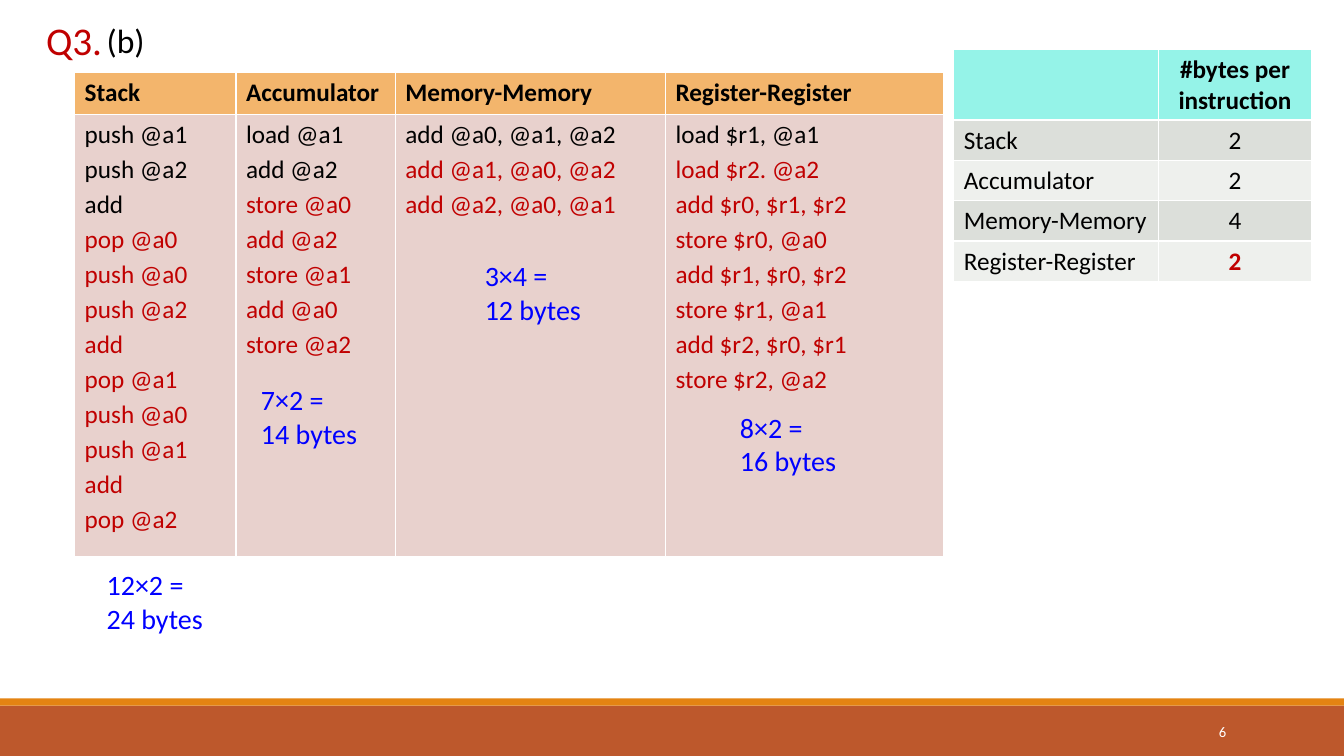
import dataclasses

import pptx
import pptx.dml.color
import pptx.enum.shapes
import pptx.enum.text
import pptx.util

Inches = pptx.util.Inches
ALIGN = pptx.enum.text.PP_ALIGN
ANCHOR = pptx.enum.text.MSO_ANCHOR


@dataclasses.dataclass(frozen=True)
class Theme:
    font: str = "Calibri"
    black: str = "000000"
    white: str = "FFFFFF"
    red: str = "C00000"
    blue: str = "0000FF"
    rust: str = "BD582C"
    orange: str = "E48312"
    amber: str = "F3B56C"
    rose: str = "E8D1CD"
    aqua: str = "95F3E8"
    bands: tuple = ("DCDFDA", "EEF0ED")
    title: float = 28
    label: float = 24
    total: float = 20
    body: float = 18
    small: float = 10.5


def tint(fill, color):
    fill.solid()
    fill.fore_color.rgb = pptx.dml.color.RGBColor.from_string(color)


def write(frame, lines, font, size, color, bold=False, align=ALIGN.LEFT, after=0):
    """Fill a text frame; each line is a string or a (string, color) pair."""
    for i, line in enumerate(lines):
        text, shade = (line, color) if isinstance(line, str) else line
        para = frame.paragraphs[0] if i == 0 else frame.add_paragraph()
        para.alignment = align
        para.space_after = pptx.util.Pt(after)
        run = para.add_run()
        run.text = text
        run.font.name = font
        run.font.size = pptx.util.Pt(size)
        run.font.bold = bold
        tint(run.font.fill, shade)


class Page:
    def __init__(self, slide, theme):
        self.slide, self.theme = slide, theme

    def bar(self, top, height, color):
        kind = pptx.enum.shapes.MSO_SHAPE.RECTANGLE
        shape = self.slide.shapes.add_shape(
            kind, 0, Inches(top), Inches(13.33), Inches(height))
        shape.shadow.inherit = False
        tint(shape.fill, color)
        shape.line.fill.background()

    def text(self, box, lines, size, color, anchor=ANCHOR.TOP, align=ALIGN.LEFT):
        frame = self.slide.shapes.add_textbox(*map(Inches, box)).text_frame
        frame.word_wrap = True
        frame.vertical_anchor = anchor
        write(frame, lines, self.theme.font, size, color, align=align)

    def table(self, left, top, cols, rows):
        frame = self.slide.shapes.add_table(
            len(rows), len(cols), Inches(left), Inches(top),
            Inches(sum(cols)), Inches(sum(rows)))
        for col, width in zip(frame.table.columns, cols):
            col.width = Inches(width)
        for row, height in zip(frame.table.rows, rows):
            row.height = Inches(height)
        return frame.table

    def cell(self, cell, lines, fill, color=None, **form):
        tint(cell.fill, fill)
        write(cell.text_frame, lines, self.theme.font, self.theme.body,
              color or self.theme.black, **form)


# Each machine: name, column width, count of given lines, code
CODE = [
    ("Stack", 1.6, 3, ["push @a1", "push @a2", "add", "pop @a0", "push @a0", "push @a2",
                       "add", "pop @a1", "push @a0", "push @a1", "add", "pop @a2"]),
    ("Accumulator", 1.58, 2, ["load @a1", "add @a2", "store @a0", "add @a2",
                              "store @a1", "add @a0", "store @a2"]),
    ("Memory-Memory", 2.68, 1, ["add @a0, @a1, @a2", "add @a1, @a0, @a2",
                                "add @a2, @a0, @a1"]),
    ("Register-Register", 2.76, 1, ["load $r1, @a1", "load $r2. @a2", "add $r0, $r1, $r2",
                                    "store $r0, @a0", "add $r1, $r0, $r2", "store $r1, @a1",
                                    "add $r2, $r0, $r1", "store $r2, @a2"]),
]
BYTES = ["2", "2", "4", "2"]
TOTALS = [
    (0.96, 5.58, ["12×2 =", "24 bytes"]),
    (2.49, 3.75, ["7×2 =", "14 bytes"]),
    (4.71, 2.52, ["3×4 =", "12 bytes"]),
    (7.24, 4.02, ["8×2 =", "16 bytes"]),
]


def main():
    deck = pptx.Presentation()
    deck.slide_width, deck.slide_height = Inches(13.33), Inches(7.5)
    theme = Theme()
    page = Page(deck.slides.add_slide(deck.slide_layouts[6]), theme)

    # Footer
    page.bar(7, 0.5, theme.rust)
    page.bar(6.93, 0.07, theme.orange)
    page.text((10.83, 7.06, 1.43, 0.4), ["6"], theme.small, theme.white,
              anchor=ANCHOR.MIDDLE, align=ALIGN.RIGHT)

    # Heading
    page.text((0.24, 0.11, 0.99, 0.57), ["Q3."], theme.title, theme.red,
              align=ALIGN.CENTER)
    page.text((0.96, 0.15, 0.7, 0.5), ["(b)"], theme.label, theme.black)

    # Size of each instruction
    sizes = page.table(9.46, 0.49, [2.03, 1.52], [0.7] + [0.4] * 4)
    page.cell(sizes.cell(0, 0), [], theme.aqua)
    page.cell(sizes.cell(0, 1), ["#bytes per instruction"], theme.aqua,
              bold=True, align=ALIGN.CENTER)
    for row, (machine, count) in enumerate(zip(CODE, BYTES), 1):
        band = theme.bands[(row - 1) % 2]
        last = row == len(BYTES)
        page.cell(sizes.cell(row, 0), [machine[0]], band)
        page.cell(sizes.cell(row, 1), [count], band, theme.red if last else theme.black,
                  bold=last, align=ALIGN.CENTER)

    # Code for each machine, with the answer in red
    code = page.table(0.74, 0.72, [machine[1] for machine in CODE], [0.42, 4.38])
    for col, (name, _, given, steps) in enumerate(CODE):
        lines = [(step, theme.black if i < given else theme.red)
                 for i, step in enumerate(steps)]
        page.cell(code.cell(0, col), [name], theme.amber, bold=True)
        page.cell(code.cell(1, col), lines, theme.rose, after=3)

    # Total bytes
    for left, top, lines in TOTALS:
        page.text((left, top, 1.27, 0.77), lines, theme.total, theme.blue)

    deck.save("out.pptx")


if __name__ == "__main__":
    main()
